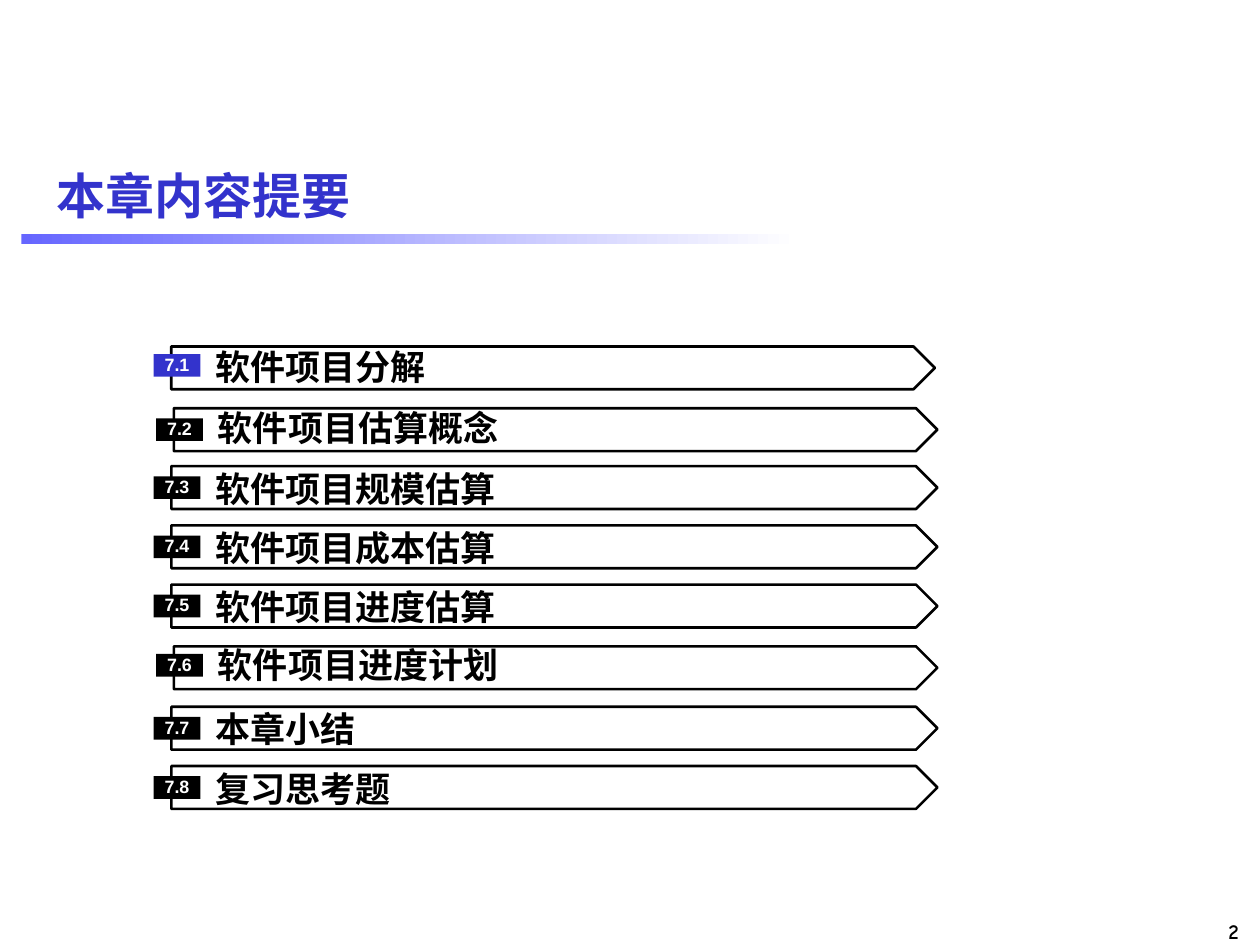
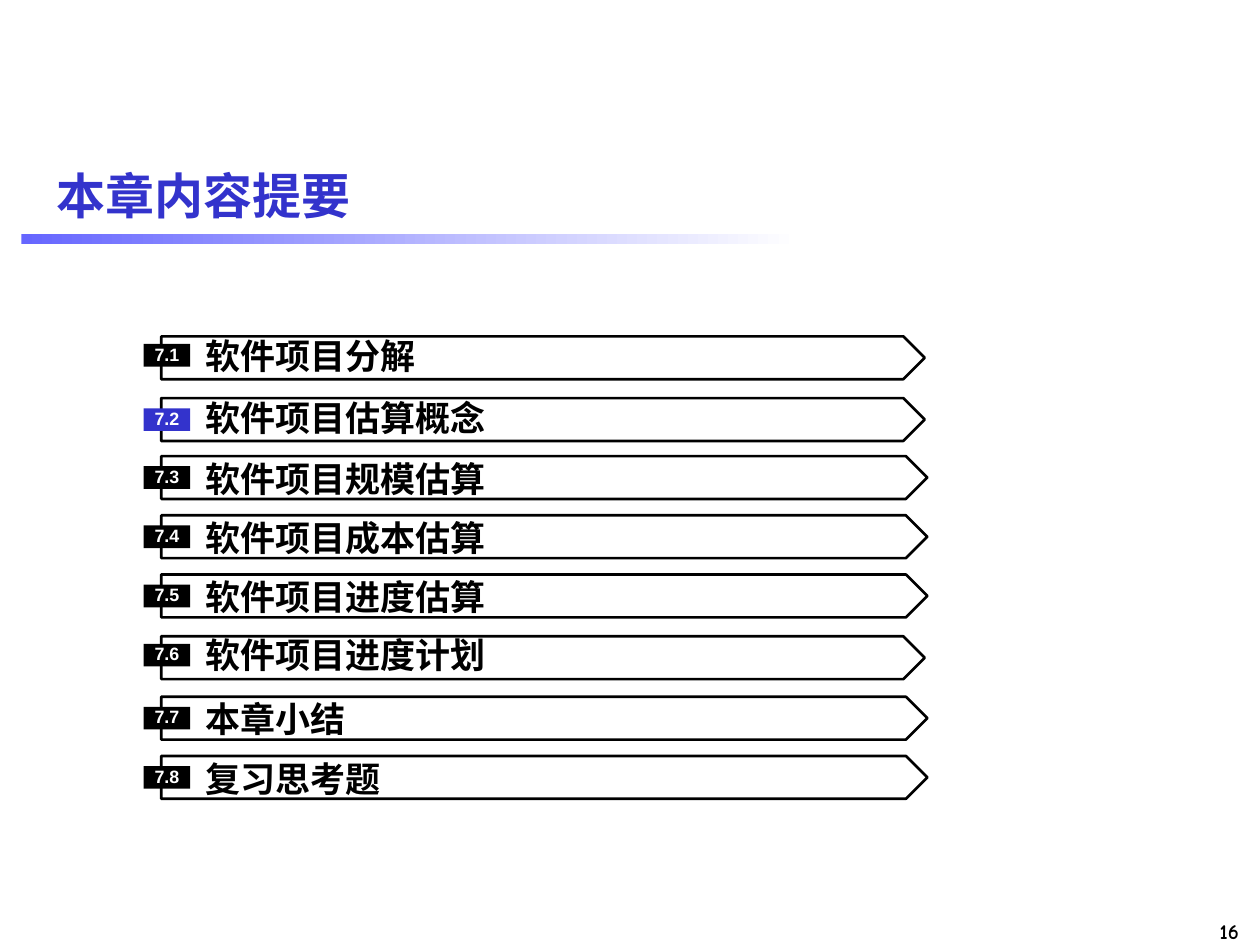
import dataclasses

import pptx
import pptx.dml.color
import pptx.enum.lang
import pptx.enum.shapes
import pptx.enum.text
import pptx.util

Inches = pptx.util.Inches
Pt = pptx.util.Pt
Align = pptx.enum.text.PP_ALIGN
Anchor = pptx.enum.text.MSO_ANCHOR
RECTANGLE = pptx.enum.shapes.MSO_SHAPE.RECTANGLE
CHINESE = pptx.enum.lang.MSO_LANGUAGE_ID.SIMPLIFIED_CHINESE


def rgb(value):
    return pptx.dml.color.RGBColor.from_string(value)


@dataclasses.dataclass(frozen=True)
class TextStyle:
    font: str
    size: float
    color: str


@dataclasses.dataclass(frozen=True)
class Theme:
    ink: str = "000000"
    accent: str = "3333CC"
    band_start: str = "6666FF"
    band_end: str = "FFFFFF"
    outline: float = 1.5
    title: TextStyle = TextStyle("Arial", 28, "3333CC")
    section: TextStyle = TextStyle("Times New Roman", 20, "000000")
    tag: TextStyle = TextStyle("Arial", 10.2, "FFFFFF")
    page: TextStyle = TextStyle("Comic Neue", 12, "000000")


@dataclasses.dataclass(frozen=True)
class Section:
    """One agenda row; lengths are inches, offsets run from the banner's top."""
    number: str
    name: str
    top: float
    banner_width: float = 6.08
    label_offset: float = 0.01
    tag_offset: float = 0.08


THEME = Theme()
TITLE = "本章内容提要"
SECTIONS = [
    Section("7.1", "软件项目分解", 0, 6.06, -0.01, 0.06),
    Section("7.2", "软件项目估算概念", 0.49, 6.06, -0.01),
    Section("7.3", "软件项目规模估算", 0.95),
    Section("7.4", "软件项目成本估算", 1.42),
    Section("7.5", "软件项目进度估算", 1.89),
    Section("7.6", "软件项目进度计划", 2.38, 6.06, -0.02, 0.06),
    Section("7.7", "本章小结", 2.86),
    Section("7.8", "复习思考题", 3.33),
]
BANNER_HEIGHT = 0.34
ARROW_DEPTH = 0.17


def write(shape, text, style, align=Align.LEFT, anchor=Anchor.MIDDLE, margins=(0, 0)):
    """Set one bold paragraph; margins are horizontal and vertical inches."""
    frame = shape.text_frame
    frame.word_wrap = True
    frame.vertical_anchor = anchor
    frame.margin_left = frame.margin_right = Inches(margins[0])
    frame.margin_top = frame.margin_bottom = Inches(margins[1])
    paragraph = frame.paragraphs[0]
    paragraph.text = text
    paragraph.alignment = align
    font = paragraph.font
    font.name, font.size, font.bold = style.font, Pt(style.size), True
    font.color.rgb = rgb(style.color)
    font.language_id = CHINESE
    return paragraph


def add_label(shapes, box, text, style, **layout):
    write(shapes.add_textbox(*map(Inches, box)), text, style, **layout)


def add_block(shapes, box):
    block = shapes.add_shape(RECTANGLE, *map(Inches, box))
    block.shadow.inherit = False
    block.line.fill.background()
    return block


def add_title_band(slide):
    band = add_block(slide.shapes, (0.17, 1.86, 6.17, 0.08))
    band.fill.gradient()
    band.fill.gradient_angle = 0
    for stop, color in zip(band.fill.gradient_stops, (THEME.band_start, THEME.band_end)):
        stop.color.rgb = rgb(color)


def add_frame(slide, page):
    """Add the page number, band and title that every slide shares."""
    add_label(slide.shapes, (9.01, 7.24, 0.92, 0.3), page, THEME.page,
              align=Align.RIGHT, anchor=Anchor.TOP, margins=(0.1, 0.05))
    add_title_band(slide)
    add_label(slide.shapes, (0.35, 1.15, 9.45, 0.79), TITLE, THEME.title,
              margins=(0.1, 0.05))


def add_banner(shapes, left, top, width):
    """Outline a bar whose right end is an arrow point."""
    tip, bottom = left + width, top + BANNER_HEIGHT
    shoulder = tip - ARROW_DEPTH
    corners = [(shoulder, top), (tip, top + BANNER_HEIGHT / 2),
               (shoulder, bottom), (left, bottom)]
    builder = shapes.build_freeform(Inches(left), Inches(top))
    builder.add_line_segments([(Inches(x), Inches(y)) for x, y in corners], close=True)
    banner = builder.convert_to_shape()
    banner.shadow.inherit = False
    banner.fill.background()
    banner.line.color.rgb = rgb(THEME.ink)
    banner.line.width = Pt(THEME.outline)


def add_section(slide, section, left, top, is_current):
    shapes = slide.shapes.add_group_shape().shapes
    add_banner(shapes, left, top, section.banner_width)
    add_label(shapes, (left + 0.35, top + section.label_offset, 5.3, 0.33),
              section.name, THEME.section)
    tag = add_block(shapes, (left - 0.14, top + section.tag_offset, 0.37, 0.18))
    tag.fill.solid()
    tag.fill.fore_color.rgb = rgb(THEME.accent if is_current else THEME.ink)
    write(tag, section.number, THEME.tag, align=Align.CENTER).line_spacing = 0.9


def add_agenda(deck, page, current, left, top, shifts=None):
    """Add an agenda slide; shifts moves the given rows right, in inches."""
    slide = deck.slides.add_slide(deck.slide_layouts[6])
    add_frame(slide, page)
    for section in SECTIONS:
        shift = (shifts or {}).get(section.number, 0)
        add_section(slide, section, left + shift, top + section.top,
                    section.number == current)


def main():
    deck = pptx.Presentation()
    deck.slide_width, deck.slide_height = Inches(10), Inches(7.5)
    add_agenda(deck, "2", "7.1", 1.36, 2.75, {"7.2": 0.02, "7.6": 0.02})
    add_agenda(deck, "16", "7.2", 1.28, 2.67)
    deck.save("out.pptx")


if __name__ == "__main__":
    main()
